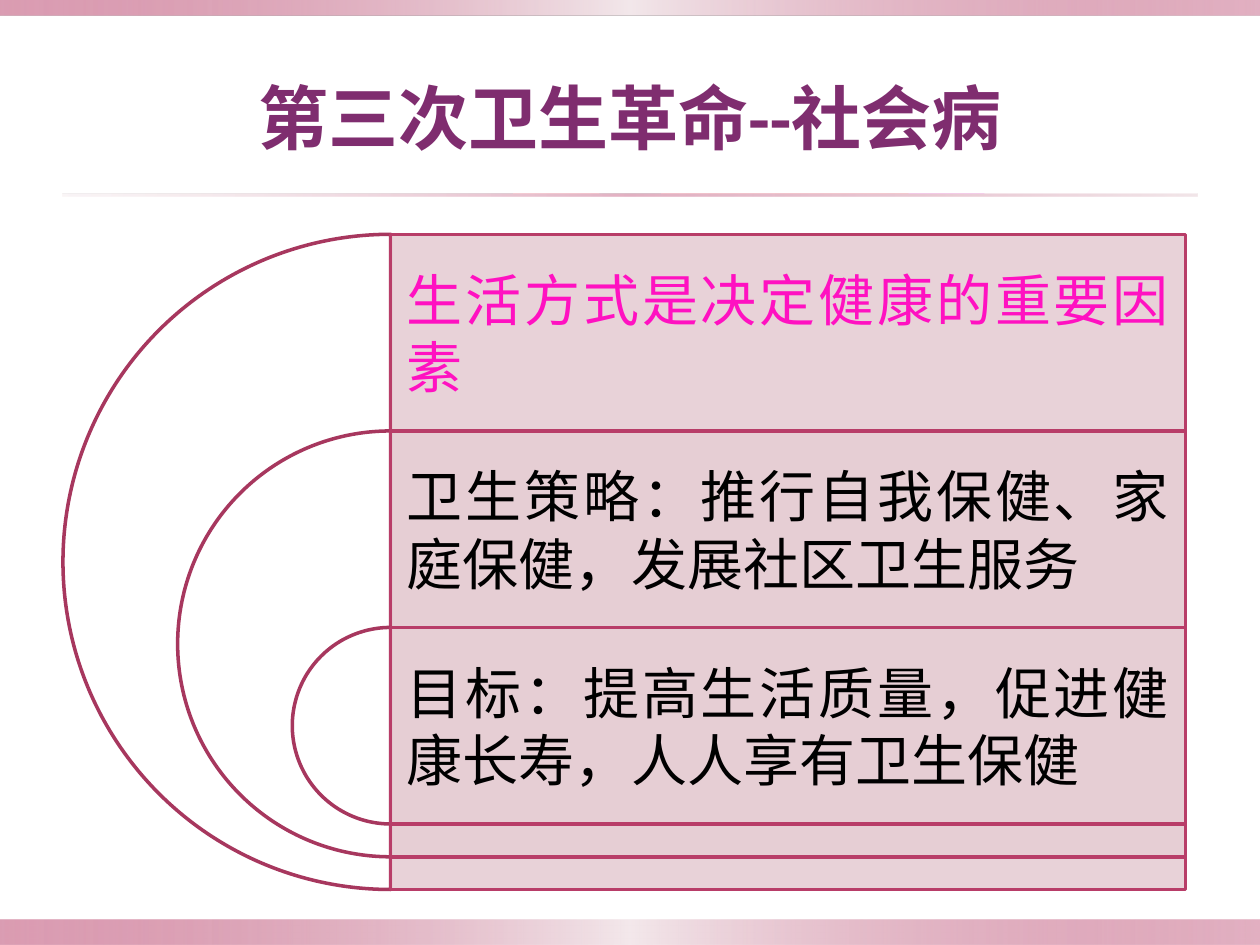
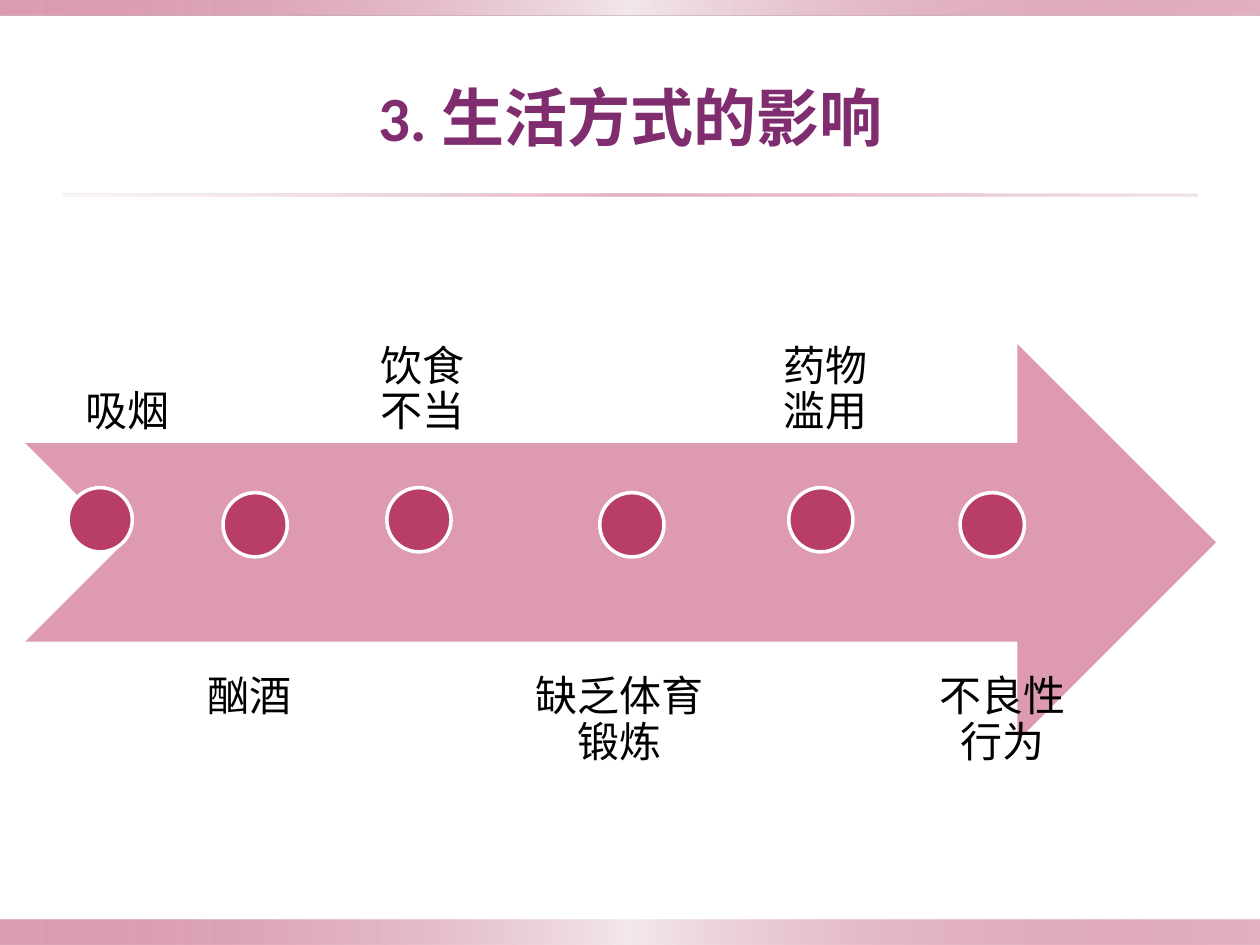
from dataclasses import dataclass

from lxml import etree
from pptx import Presentation
from pptx.dml.color import RGBColor
from pptx.enum.lang import MSO_LANGUAGE_ID
from pptx.enum.shapes import MSO_SHAPE
from pptx.enum.text import MSO_ANCHOR, MSO_AUTO_SIZE, PP_ALIGN
from pptx.oxml.ns import qn
from pptx.util import Inches, Pt

RECT, PIE, OVAL, ARROW = (MSO_SHAPE.RECTANGLE, MSO_SHAPE.PIE, MSO_SHAPE.OVAL,
                          MSO_SHAPE.NOTCHED_RIGHT_ARROW)
TOP, MIDDLE, BOTTOM = MSO_ANCHOR.TOP, MSO_ANCHOR.MIDDLE, MSO_ANCHOR.BOTTOM
CENTER, JUSTIFY = PP_ALIGN.CENTER, PP_ALIGN.JUSTIFY
NO_AUTOFIT = MSO_AUTO_SIZE.NONE
CHINESE = MSO_LANGUAGE_ID.SIMPLIFIED_CHINESE
COLS, ROWS, CELL = 100, 75, Inches(0.1)
TITLE_ONLY = 5


@dataclass(frozen=True)
class Theme:
    title: str = "7F2D6F"
    accent: str = "B83D68"
    accent_dark: str = "A7375E"
    arrow: str = "DE9AB2"
    panel: str = "E6CED4"
    glow: str = "F3E8EB"
    highlight: str = "FF11C1"
    text: str = "000000"
    white: str = "FFFFFF"
    title_font: str = "Calibri"
    body_font: str = "Arial"
    title_size: int = 40
    topic_size: int = 36
    body_size: int = 32
    label_size: int = 24
    line: int = 2


T = Theme()
BAND = ((0, T.accent, 50), (50, T.glow, 100), (100, T.accent, 40))
RULE = ((0, T.panel, 20), (50, T.accent, 40), (100, T.panel, 50))


@dataclass(frozen=True)
class Box:
    x: float
    y: float
    w: float
    h: float

    def inner(self, x, y, w, h):
        return Box(self.x + x, self.y + y, w, h)

    def emu(self):
        return [round(v * CELL) for v in (self.x, self.y, self.w, self.h)]


PAGE = Box(0, 0, COLS, ROWS)
TITLE = PAGE.inner(5, 3, 90, 12.5)


def set_all(target, values):
    for name, value in values.items():
        setattr(target, name, value)


def set_alpha(color, percent):
    etree.SubElement(color, qn("a:alpha"), val=str(percent * 1000))


def add_shape(s, kind, box, fill, line=None, alpha=100):
    sp = s.shapes.add_shape(kind, *box.emu())
    sp.shadow.inherit = False
    sp.fill.solid()
    sp.fill.fore_color.rgb = RGBColor.from_string(fill)
    if alpha < 100:
        set_alpha(sp.element.spPr.find(".//" + qn("a:srgbClr")), alpha)
    if line:
        sp.line.color.rgb = RGBColor.from_string(line)
        sp.line.width = Pt(T.line)
    else:
        sp.line.fill.background()
    return sp


def set_gradient(sp, stops):
    sp.fill.gradient()
    sp.fill.gradient_angle = 0
    gs_list = sp.element.spPr.find(".//" + qn("a:gsLst"))
    for gs in list(gs_list):
        gs_list.remove(gs)
    for pos, color, alpha in stops:
        gs = etree.SubElement(gs_list, qn("a:gs"), pos=str(pos * 1000))
        set_alpha(etree.SubElement(gs, qn("a:srgbClr"), val=color), alpha)


def write(tf, text, size, font, color, align, anchor, inset, bold=False, spacing=1.0):
    margins = dict.fromkeys(
        ("margin_left", "margin_top", "margin_right", "margin_bottom"), Inches(inset))
    set_all(tf, {"word_wrap": True, "auto_size": NO_AUTOFIT,
                 "vertical_anchor": anchor, **margins})
    p = tf.paragraphs[0]
    set_all(p, {"alignment": align, "line_spacing": spacing})
    r = p.add_run()
    r.text = text
    set_all(r.font, {"size": Pt(size), "name": font, "bold": bold, "language_id": CHINESE})
    r.font.color.rgb = RGBColor.from_string(color)


def add_text(s, box, text, **style):
    write(s.shapes.add_textbox(*box.emu()).text_frame, text, font=T.body_font, **style)


def decorate_master(prs, s):
    tree = prs.slide_master.shapes.element
    strips = ((PAGE.inner(0, 73, COLS, 2), BAND),
              (PAGE.inner(0, 0, COLS, 1.2), BAND),
              (PAGE.inner(5, 15.4, 90, 0.2), RULE))
    for i, (box, stops) in enumerate(strips):
        sp = add_shape(s, RECT, box, T.white)
        set_gradient(sp, stops)
        sp.element.nvSpPr.cNvPr.set("id", str(100 + i))
        tree.insert(2 + i, sp.element)


def add_slide(prs, title, size):
    s = prs.slides.add_slide(prs.slide_layouts[TITLE_ONLY])
    sp = s.shapes.title
    set_all(sp, dict(zip(("left", "top", "width", "height"), TITLE.emu())))
    write(sp.text_frame, title, size, T.title_font, T.title, CENTER, MIDDLE, 0.1, bold=True)
    return s


def add_nested_panels(s, box, panels):
    center = box.h / 2
    width = box.w - center
    row = box.h * 0.3
    for i, (text, color) in enumerate(panels):
        size = box.h * (1 - 0.35 * i)
        top = row * i
        pie = add_shape(s, PIE, box.inner(center - size / 2, top, size, size),
                        T.white, T.accent_dark)
        pie.adjustments[0], pie.adjustments[1] = 54, 162
        add_shape(s, RECT, box.inner(center, top, width, size), T.panel, T.accent, 90)
        add_text(s, box.inner(center, top, width, row), text, size=T.body_size,
                 color=color, align=JUSTIFY, anchor=MIDDLE, inset=0.13)


def add_factor_arrow(s, box, factors):
    add_shape(s, ARROW, box.inner(0, 4, box.w, 31.5), T.arrow)
    dot = 5.1
    for i, (text, label_x, label_w, dot_x) in enumerate(factors):
        label_y, anchor, dot_y = (28.4, TOP, 15.8) if i % 2 else (0, BOTTOM, 15.4)
        add_text(s, box.inner(label_x, label_y, label_w, 13.2), text, size=T.label_size,
                 color=T.text, align=CENTER, anchor=anchor, inset=0.19, spacing=0.9)
        add_shape(s, OVAL, box.inner(dot_x, dot_y, dot, dot), T.accent, T.white)


def main():
    prs = Presentation()
    prs.slide_width, prs.slide_height = COLS * CELL, ROWS * CELL

    s = add_slide(prs, "第三次卫生革命--社会病", T.title_size)
    decorate_master(prs, s)
    add_nested_panels(s, PAGE.inner(5, 18.6, 89.1, 52), (
        ("生活方式是决定健康的重要因素", T.highlight),
        ("卫生策略：推行自我保健、家庭保健，发展社区卫生服务", T.text),
        ("目标：提高生活质量，促进健康长寿，人人享有卫生保健", T.text)))

    s = add_slide(prs, "3. 生活方式的影响", T.topic_size)
    add_factor_arrow(s, PAGE.inner(2, 23.3, 94.5, 41.5), (
        ("吸烟", 2.1, 12, 3.4),
        ("酗酒", 11.8, 12, 15.7),
        ("饮食不当", 25.5, 12, 28.7),
        ("缺乏体育锻炼", 37.8, 18.7, 45.6),
        ("药物滥用", 57.5, 12, 60.6),
        ("不良性行为", 70, 15.2, 74.2)))

    prs.save("out.pptx")


if __name__ == "__main__":
    main()
